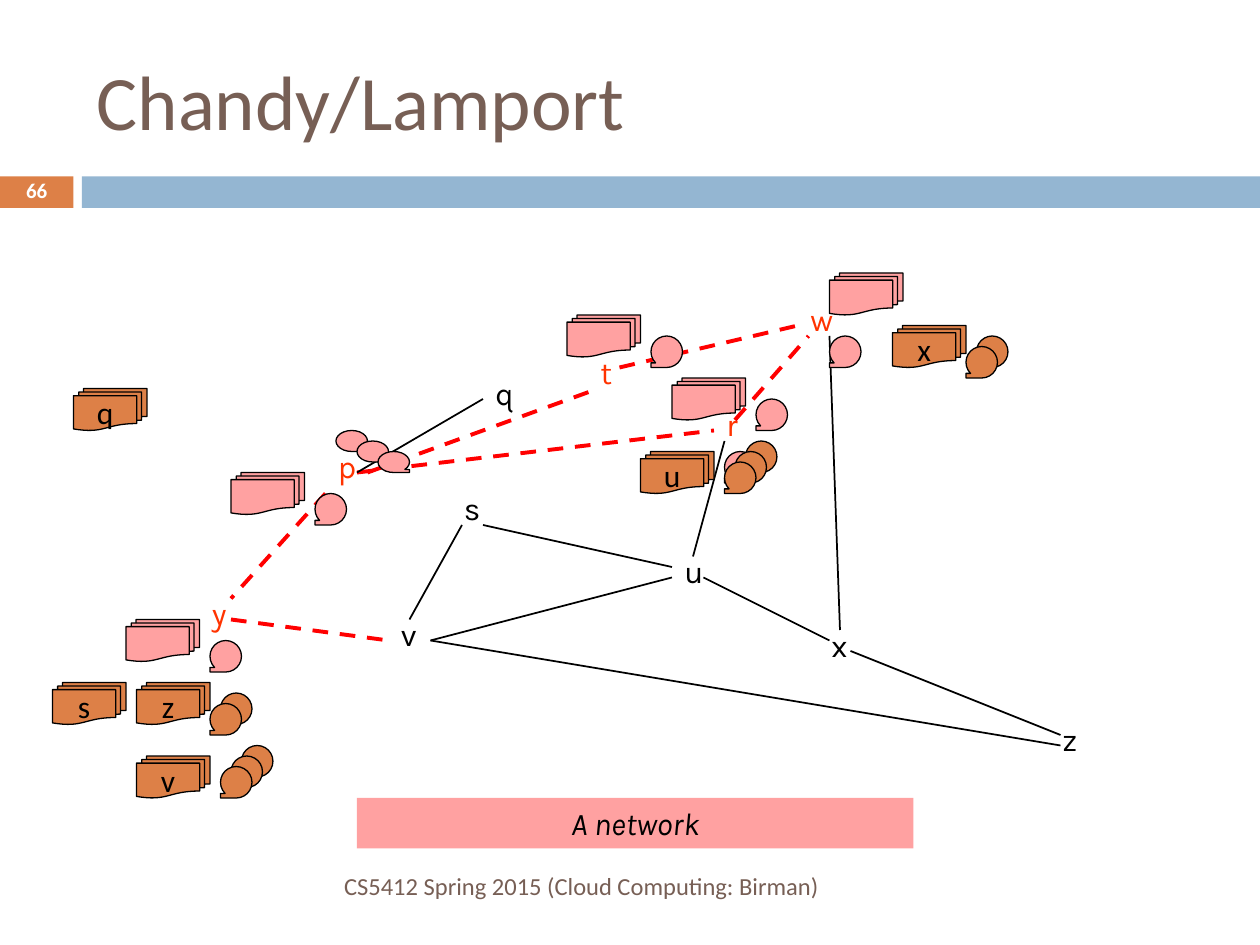
from dataclasses import dataclass

from lxml import etree
from pptx import Presentation
from pptx import util as u
from pptx.dml import color
from pptx.enum import dml, shapes, text
from pptx.oxml import ns

PX = u.Inches(1) // 120
PRESET = shapes.MSO_SHAPE
ALIGN = text.PP_ALIGN


@dataclass(frozen=True)
class Theme:
    brown: str = "775F55"
    orange: str = "DD8047"
    blue: str = "94B6D2"
    pink: str = "FFA1A1"
    red: str = "FF0000"
    marked: str = "FF3300"
    black: str = "000000"
    white: str = "FFFFFF"
    body_font: str = "Calibri"
    label_font: str = "Karla"
    title_size: int = 44
    label_size: int = 18
    footer_size: int = 14
    number_size: int = 12


THEME = Theme()

# Node positions within the network box
NODES = {
    "p": (310, 220), "q": (460, 150), "r": (680, 180), "s": (430, 260),
    "t": (560, 130), "u": (640, 320), "v": (370, 380), "w": (760, 80),
    "x": (780, 390), "y": (190, 360), "z": (1000, 480),
}
REACHED = "prtwy"

# Links as x1, y1, x2, y2 within the network box
FLOODED_LINKS = [
    (310, 270, 220, 370), (220, 390, 370, 410), (340, 250, 680, 210),
    (350, 250, 570, 170), (700, 200, 770, 120), (590, 150, 760, 110),
]
OPEN_LINKS = [
    (440, 300, 390, 390), (340, 250, 460, 180), (690, 220, 660, 330),
    (410, 410, 1010, 510), (410, 410, 640, 350), (790, 120, 800, 400),
    (670, 350, 790, 410), (460, 300, 640, 340), (810, 420, 1010, 500),
]

# Recorded states and channel messages within the network box
LOCAL_STATES = [(220, 250), (120, 390), (540, 100), (640, 160), (790, 60)]
LOCAL_MESSAGES = [(300, 270), (200, 410), (620, 120), (720, 180),
                  (690, 230), (790, 120)]
SENT_STATES = {"q": (70, 170), "v": (130, 520), "z": (130, 450),
               "x": (850, 110), "u": (610, 230), "s": (50, 450)}
MESSAGE_STACKS = [(230, 510, 3), (210, 460, 2), (930, 120, 2), (710, 220, 3)]


def rgb(value):
    return color.RGBColor.from_string(value)


def emu(*lengths):
    return [length * PX for length in lengths]


def write(shape, words, size, ink, font=THEME.body_font, align=ALIGN.LEFT,
          anchor=text.MSO_ANCHOR.MIDDLE, wrap=True, spacing=None, **styles):
    frame = shape.text_frame
    frame.text = words
    paragraph = frame.paragraphs[0]
    frame_format = {"word_wrap": wrap, "vertical_anchor": anchor,
                    "auto_size": text.MSO_AUTO_SIZE.NONE}
    paragraph_format = {"alignment": align, "line_spacing": spacing}
    font_format = {"name": font, "size": u.Pt(size), **styles}
    for target, values in ((frame, frame_format), (paragraph, paragraph_format),
                           (paragraph.font, font_format)):
        for name, value in values.items():
            setattr(target, name, value)
    paragraph.font.color.rgb = rgb(ink)


def add_text(slide, box, words, size, ink, **options):
    write(slide.shapes.add_textbox(*emu(*box)), words, size, ink, **options)


def add_block(slide, preset, box, fill, outlined=False, flipped=False):
    shape = slide.shapes.add_shape(preset, *emu(*box))
    shape.shadow.inherit = False
    shape.fill.solid()
    shape.fill.fore_color.rgb = rgb(fill)
    if outlined:
        shape.line.color.rgb = rgb(THEME.black)
        shape.line.width = u.Pt(0.75)
    else:
        shape.line.fill.background()
    if flipped:
        shape._element.spPr.xfrm.set("flipH", "1")
    return shape


def add_link(slide, ends, ink, width, dash=None):
    link = slide.shapes.add_connector(shapes.MSO_CONNECTOR.STRAIGHT, *emu(*ends))
    link.line.color.rgb = rgb(ink)
    link.line.width = u.Pt(width)
    link.line.dash_style = dash
    etree.SubElement(link._element.spPr, ns.qn("a:effectLst"))


def add_state(slide, x, y, fill):
    return add_block(slide, PRESET.FLOWCHART_MULTIDOCUMENT, (x, y, 70, 40),
                     fill, outlined=True)


def add_message(slide, x, y, fill, height=30, flipped=True):
    add_block(slide, PRESET.FLOWCHART_SEQUENTIAL_ACCESS_STORAGE,
              (x, y, 30, height), fill, outlined=True, flipped=flipped)


def draw_header(slide, box):
    left, top, width, height = box
    title = slide.shapes.title
    places = dict(zip(("left", "top", "width", "height"),
                      emu(left + 80, top + 30, width - 130, 130)))
    for name, value in places.items():
        setattr(title, name, value)
    write(title, "Chandy/Lamport", THEME.title_size, THEME.brown)

    # Band with the slide number at its left
    band_top, band_height = top + height - 30, 30
    number = add_block(slide, PRESET.RECTANGLE,
                       (left, band_top, 70, band_height), THEME.orange)
    add_block(slide, PRESET.RECTANGLE,
              (left + 78, band_top, width - 78, band_height), THEME.blue)
    write(number, "66", THEME.number_size, THEME.white, align=ALIGN.CENTER,
          spacing=0.8, bold=True)


def draw_network(slide, box):
    left, top = box[:2]

    # Nodes
    for name, (x, y) in NODES.items():
        ink = THEME.marked if name in REACHED else THEME.black
        add_text(slide, (left + x, top + y, 50, 48), name, THEME.label_size, ink,
                 font=THEME.label_font, anchor=text.MSO_ANCHOR.TOP)

    # Links
    for links, style in ((FLOODED_LINKS, (THEME.red, 2.25, dml.MSO_LINE.DASH)),
                         (OPEN_LINKS, (THEME.black, 1))):
        for x1, y1, x2, y2 in links:
            add_link(slide, (left + x1, top + y1, left + x2, top + y2), *style)

    # Snapshots recorded at the reached nodes
    for x, y in LOCAL_STATES:
        add_state(slide, left + x, top + y, THEME.pink)
    for step in range(3):
        add_message(slide, left + 320 + 20 * step, top + 210 + 10 * step,
                    THEME.pink, height=20, flipped=False)
    for x, y in LOCAL_MESSAGES:
        add_message(slide, left + x, top + y, THEME.pink)

    # Snapshots passed on from other nodes
    for name, (x, y) in SENT_STATES.items():
        state = add_state(slide, left + x, top + y, THEME.orange)
        write(state, name, THEME.label_size, THEME.black,
              align=ALIGN.CENTER, wrap=False)
    for x, y, count in MESSAGE_STACKS:
        for step in range(count):
            add_message(slide, left + x - 10 * step, top + y + 10 * step,
                        THEME.orange)


def draw_footer(slide, box):
    left, top = box[:2]
    caption = add_block(slide, PRESET.RECTANGLE, (left + 340, top, 530, 48),
                        THEME.pink)
    write(caption, "A network", THEME.label_size, THEME.black,
          font=THEME.label_font, align=ALIGN.CENTER, italic=True)
    add_text(slide, (left + 80, top + 60, 712, 48),
             "CS5412 Spring 2015 (Cloud Computing: Birman)",
             THEME.footer_size, THEME.brown, align=ALIGN.RIGHT)


def main():
    presentation = Presentation()
    presentation.slide_width, presentation.slide_height = emu(1200, 900)
    slide = presentation.slides.add_slide(presentation.slide_layouts[5])
    draw_header(slide, (0, 0, 1200, 198))
    draw_network(slide, (0, 200, 1200, 560))
    draw_footer(slide, (0, 760, 1200, 140))
    presentation.save("out.pptx")


if __name__ == "__main__":
    main()
